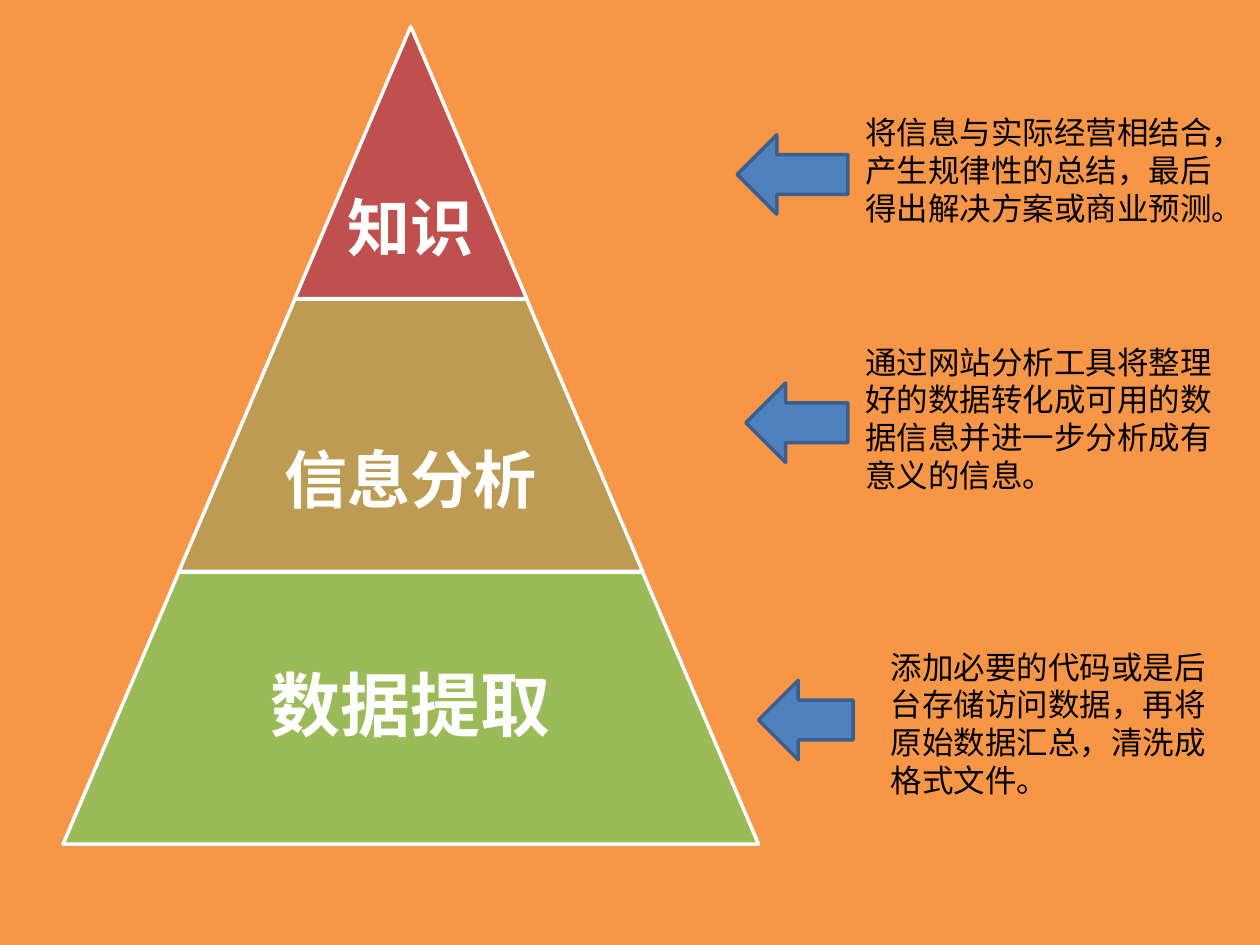
from pptx import Presentation
from pptx.dml.color import RGBColor
from pptx.enum.shapes import MSO_SHAPE
from pptx.enum.text import MSO_ANCHOR, MSO_AUTO_SIZE, PP_ALIGN
from pptx.util import Inches, Pt

TRAPEZOID = MSO_SHAPE.TRAPEZOID
LEFT_ARROW = MSO_SHAPE.LEFT_ARROW
MIDDLE = MSO_ANCHOR.MIDDLE
CENTER = PP_ALIGN.CENTER
GROW = MSO_AUTO_SIZE.SHAPE_TO_FIT_TEXT

FONT = "Calibri"
AXIS = 3.26
APEX_TOP = 0.21
TIER_HEIGHT = 2.16
TIER_STEP = 2.165
TIER_INSET = 0.92

# label, fill, text width, text size, top inset
TIERS = [
    ("知识", "C0504D", 1.84, 36, 1.14),
    ("信息分析", "BD9B53", 2.39, 36, 0.8),
    ("数据提取", "9BBB59", 3.59, 40, 0.06),
]
ARROWS = [(5.85, 1.07, 0.88), (5.92, 3.04, 0.81), (6.02, 5.4, 0.75)]
NOTES = [
    (6.77, 0.85, 3.03, 1.01, "将信息与实际经营相结合，产生规律性的总结，最后得出解决方案或商业预测。"),
    (6.77, 2.67, 3.03, 1.31, "通过网站分析工具将整理好的数据转化成可用的数据信息并进一步分析成有意义的信息。"),
    (6.97, 5.09, 2.83, 1.31, "添加必要的代码或是后台存储访问数据，再将原始数据汇总，清洗成格式文件。"),
]


def color(value):
    """Return the colour for a hex string."""
    return RGBColor.from_string(value)


def add_block(page, kind, left, top, width, height, fill, line):
    """Add a filled and outlined preset shape."""
    block = page.shapes.add_shape(
        kind, Inches(left), Inches(top), Inches(width), Inches(height))
    block.shadow.inherit = False
    block.fill.solid()
    block.fill.fore_color.rgb = color(fill)
    block.line.color.rgb = color(line)
    block.line.width = Pt(2)
    return block


def add_text(page, left, top, width, height, text, size, ink, bold=False):
    """Add a wrapping text box and return its text frame."""
    box = page.shapes.add_textbox(
        Inches(left), Inches(top), Inches(width), Inches(height))
    frame = box.text_frame
    frame.word_wrap = True
    frame.text = text
    font = frame.paragraphs[0].runs[0].font
    font.name = FONT
    font.size = Pt(size)
    font.bold = bold
    font.color.rgb = color(ink)
    return frame


def add_tier(page, index, label, fill, text_width, size, inset):
    """Add one level of the pyramid with its label."""
    width = 2 * TIER_INSET * (index + 1)
    top = APEX_TOP + TIER_STEP * index
    tier = add_block(page, TRAPEZOID, AXIS - width / 2, top, width,
                     TIER_HEIGHT, fill, "FFFFFF")
    tier.adjustments[0] = TIER_INSET / min(width, TIER_HEIGHT)
    frame = add_text(page, AXIS - text_width / 2, top, text_width,
                     TIER_HEIGHT, label, size, "FFFFFF", True)
    frame.vertical_anchor = MIDDLE
    frame.margin_left = frame.margin_right = Inches(0.05)
    frame.margin_top = Inches(inset)
    frame.margin_bottom = Inches(0.05)
    frame.paragraphs[0].alignment = CENTER
    frame.paragraphs[0].line_spacing = 0.9


def main():
    """Build the pyramid slide and save it."""
    deck = Presentation()
    deck.slide_width = Inches(10)
    deck.slide_height = Inches(7.5)
    page = deck.slides.add_slide(deck.slide_layouts[6])
    page.background.fill.solid()
    page.background.fill.fore_color.rgb = color("F79646")
    for index, tier in enumerate(TIERS):
        add_tier(page, index, *tier)
    for left, top, width in ARROWS:
        add_block(page, LEFT_ARROW, left, top, width, 0.63, "4F81BD", "3A5F8C")
    for left, top, width, height, text in NOTES:
        frame = add_text(page, left, top, width, height, text, 18, "000000")
        frame.auto_size = GROW
    deck.save("out.pptx")


main()
